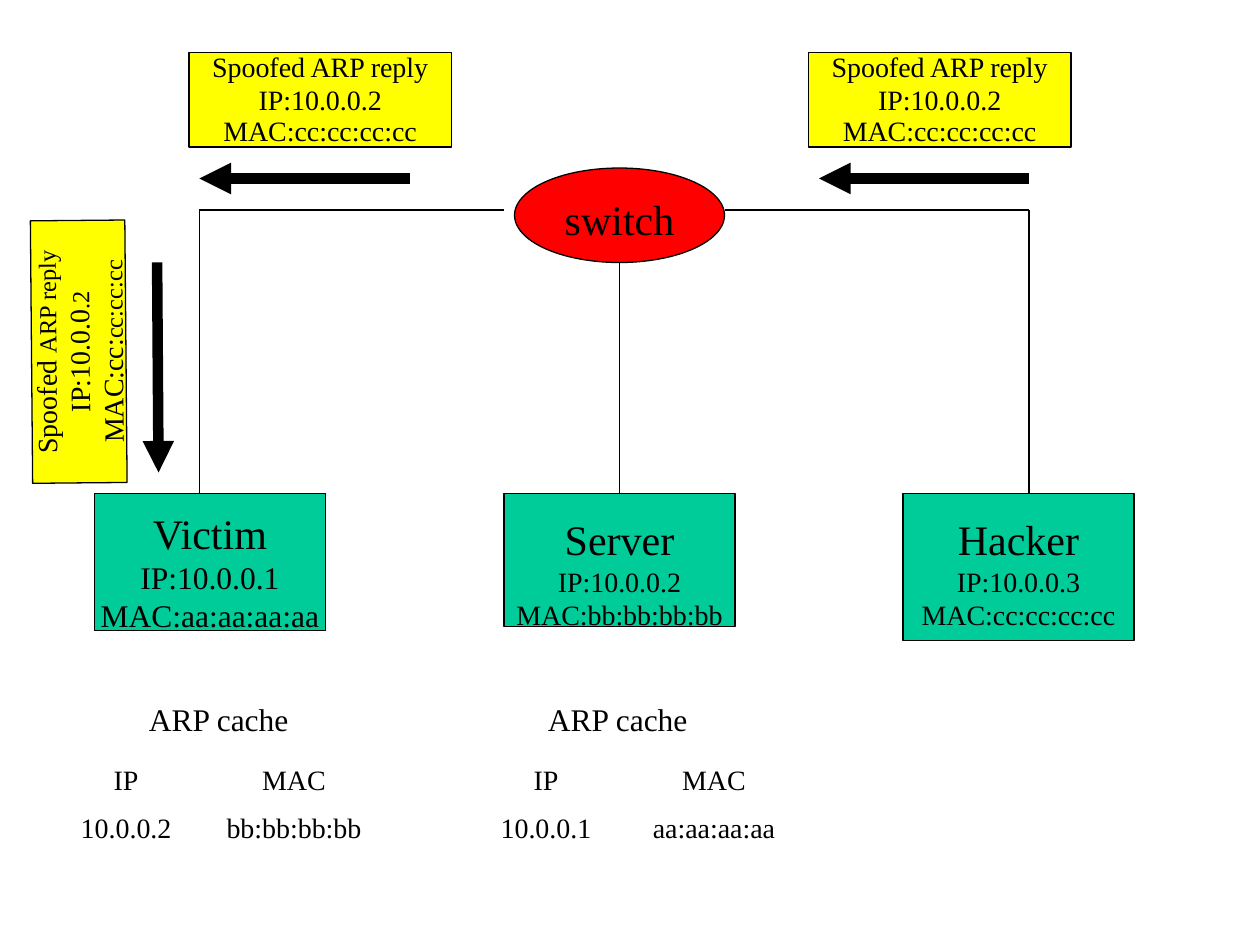
from dataclasses import dataclass

import pptx
import pptx.dml.color
import pptx.enum.shapes
import pptx.enum.text
import pptx.oxml.ns
import pptx.shapes.autoshape
import pptx.slide
import pptx.util
from lxml import etree

Pt = pptx.util.Pt
Shape = pptx.enum.shapes.MSO_SHAPE
Anchor = pptx.enum.text.MSO_ANCHOR
Slide = pptx.slide.Slide
AutoShape = pptx.shapes.autoshape.Shape

BLACK, YELLOW, GREEN, RED = "000000", "FFFF00", "00CC99", "FF0000"
WIRE_WIDTH, ARROW_WIDTH = 0.75, 6
REPLY_SPACINGS = (17.4, 19.1, 17.4)
FRAME_FORMAT = {"word_wrap": True, "auto_size": pptx.enum.text.MSO_AUTO_SIZE.NONE,
                "margin_left": 0, "margin_right": 0, "margin_bottom": 0}


@dataclass(frozen=True)
class Span:
    text: str
    size: float


@dataclass(frozen=True)
class Line:
    spans: tuple[Span, ...]
    spacing: float | None = None
    before: float = 0


@dataclass(frozen=True)
class Area:
    left: float
    top: float
    width: float
    height: float


@dataclass(frozen=True)
class Host:
    name: str
    ip: str
    mac: str
    left: float
    height: float
    text_top: float
    detail_size: float


@dataclass(frozen=True)
class Cache:
    left: float
    title_left: float
    ip: str
    mac: str


@dataclass(frozen=True)
class Route:
    start: tuple[float, float]
    end: tuple[float, float]


HOSTS = (
    Host("Victim", "10.0.0.1", "aa:aa:aa:aa", 54, 78.5, 8, 18),
    Host("Server", "10.0.0.2", "bb:bb:bb:bb", 288, 76, 11.5, 16),
    Host("Hacker", "10.0.0.3", "cc:cc:cc:cc", 516, 84, 11.5, 16),
)
CACHES = (
    Cache(24, 80, "10.0.0.2", "bb:bb:bb:bb"),
    Cache(264, 308, "10.0.0.1", "aa:aa:aa:aa"),
)
WIRES = (
    Route((354, 150), (354, 282)),
    Route((114, 282), (114, 120)),
    Route((114, 120), (288, 120)),
    Route((414, 120), (588, 120)),
    Route((588, 120), (588, 282)),
)
ARROWS = (
    Route((588, 102), (468, 102)),
    Route((234, 102), (114, 102)),
    Route((89.8, 150), (90.6, 270)),
)
REPLY_TEXTS = ("Spoofed ARP reply", "IP:10.0.0.2", "MAC:cc:cc:cc:cc")
SIDE_REPLY_TEXTS = (("Spoofed ", "ARP reply"), ("IP:10.0.0", ".2"), ("MAC:cc:", "cc:cc:cc"))


def colour(code: str) -> pptx.dml.color.RGBColor:
    return pptx.dml.color.RGBColor.from_string(code)


def plain(text: str, size: float, **layout: float) -> Line:
    """Make a line with one span."""
    return Line((Span(text, size),), **layout)


def write(box: AutoShape, lines: list[Line], anchor: Anchor = Anchor.TOP,
          text_top: float = 0) -> None:
    """Fill a box with centred lines of text."""
    frame = box.text_frame
    frame_format = FRAME_FORMAT | {"vertical_anchor": anchor, "margin_top": Pt(text_top)}
    for key, value in frame_format.items():
        setattr(frame, key, value)
    for index, line in enumerate(lines):
        para = frame.add_paragraph() if index else frame.paragraphs[0]
        para_format = {"alignment": pptx.enum.text.PP_ALIGN.CENTER,
                       "space_before": Pt(line.before),
                       "line_spacing": Pt(line.spacing) if line.spacing else None}
        for key, value in para_format.items():
            setattr(para, key, value)
        for span in line.spans:
            run = para.add_run()
            run.text = span.text
            run.font.color.rgb = colour(BLACK)
            for key, value in {"name": "Times New Roman", "size": Pt(span.size)}.items():
                setattr(run.font, key, value)


def add_block(page: Slide, kind: Shape, area: Area, fill: str) -> AutoShape:
    """Draw a filled shape with a thin black outline."""
    box = page.shapes.add_shape(kind, Pt(area.left), Pt(area.top),
                                Pt(area.width), Pt(area.height))
    box.shadow.inherit = False
    box.fill.solid()
    box.fill.fore_color.rgb = colour(fill)
    box.line.color.rgb = colour(BLACK)
    box.line.width = Pt(WIRE_WIDTH)
    return box


def add_label(page: Slide, area: Area, lines: list[Line]) -> None:
    box = page.shapes.add_textbox(Pt(area.left), Pt(area.top), Pt(area.width), Pt(area.height))
    write(box, lines)


def add_route(page: Slide, route: Route, width: float, arrow: bool = False) -> None:
    """Draw a straight black line, with an arrowhead at its end if asked."""
    ends = (Pt(length) for length in (*route.start, *route.end))
    connector = page.shapes.add_connector(pptx.enum.shapes.MSO_CONNECTOR.STRAIGHT, *ends)
    connector.line.color.rgb = colour(BLACK)
    connector.line.width = Pt(width)
    if arrow:
        etree.SubElement(connector.line._get_or_add_ln(), pptx.oxml.ns.qn("a:tailEnd"),
                         type="triangle", w="med", len="med")
    etree.SubElement(connector._element.spPr, pptx.oxml.ns.qn("a:effectLst"))


def add_host(page: Slide, host: Host) -> None:
    box = add_block(page, Shape.RECTANGLE, Area(host.left, 282, 132, host.height), GREEN)
    write(box, [plain(host.name, 24),
                plain(f"IP:{host.ip}", host.detail_size),
                plain(f"MAC:{host.mac}", host.detail_size)], text_top=host.text_top)


def add_reply(page: Slide, left: float) -> None:
    box = add_block(page, Shape.RECTANGLE, Area(left, 30, 150, 54), YELLOW)
    write(box, [plain(text, 16, spacing=spacing)
                for text, spacing in zip(REPLY_TEXTS, REPLY_SPACINGS)])


def add_side_reply(page: Slide) -> None:
    """Draw the slightly tilted reply whose text reads upwards."""
    box = add_block(page, Shape.RECTANGLE, Area(18, 126, 54, 150), YELLOW)
    box.rotation = -0.5
    write(box, [Line((Span(first, 16), Span(rest, 14)), spacing=19)
                for first, rest in SIDE_REPLY_TEXTS], Anchor.MIDDLE)
    box.text_frame._txBody.bodyPr.set("vert", "vert270")


def add_cache(page: Slide, cache: Cache) -> None:
    add_label(page, Area(cache.title_left, 400, 90, 24), [plain("ARP cache", 18)])
    for column, (heading, value) in enumerate((("IP", cache.ip), ("MAC", cache.mac))):
        add_label(page, Area(cache.left + 96 * column, 435.5, 96, 48),
                  [plain(heading, 16), plain(value, 16, before=8.5)])


def main() -> None:
    deck = pptx.Presentation()
    deck.slide_width, deck.slide_height = Pt(720), Pt(540)
    page = deck.slides.add_slide(deck.slide_layouts[6])
    for host in HOSTS:
        add_host(page, host)
    switch = add_block(page, Shape.OVAL, Area(294, 96, 120, 54), RED)
    write(switch, [plain("switch", 24)], Anchor.MIDDLE, text_top=4)
    for wire in WIRES:
        add_route(page, wire, WIRE_WIDTH)
    for cache in CACHES:
        add_cache(page, cache)
    for left in (462, 108):
        add_reply(page, left)
    add_side_reply(page)
    for arrow in ARROWS:
        add_route(page, arrow, ARROW_WIDTH, arrow=True)
    deck.save("out.pptx")


if __name__ == "__main__":
    main()
